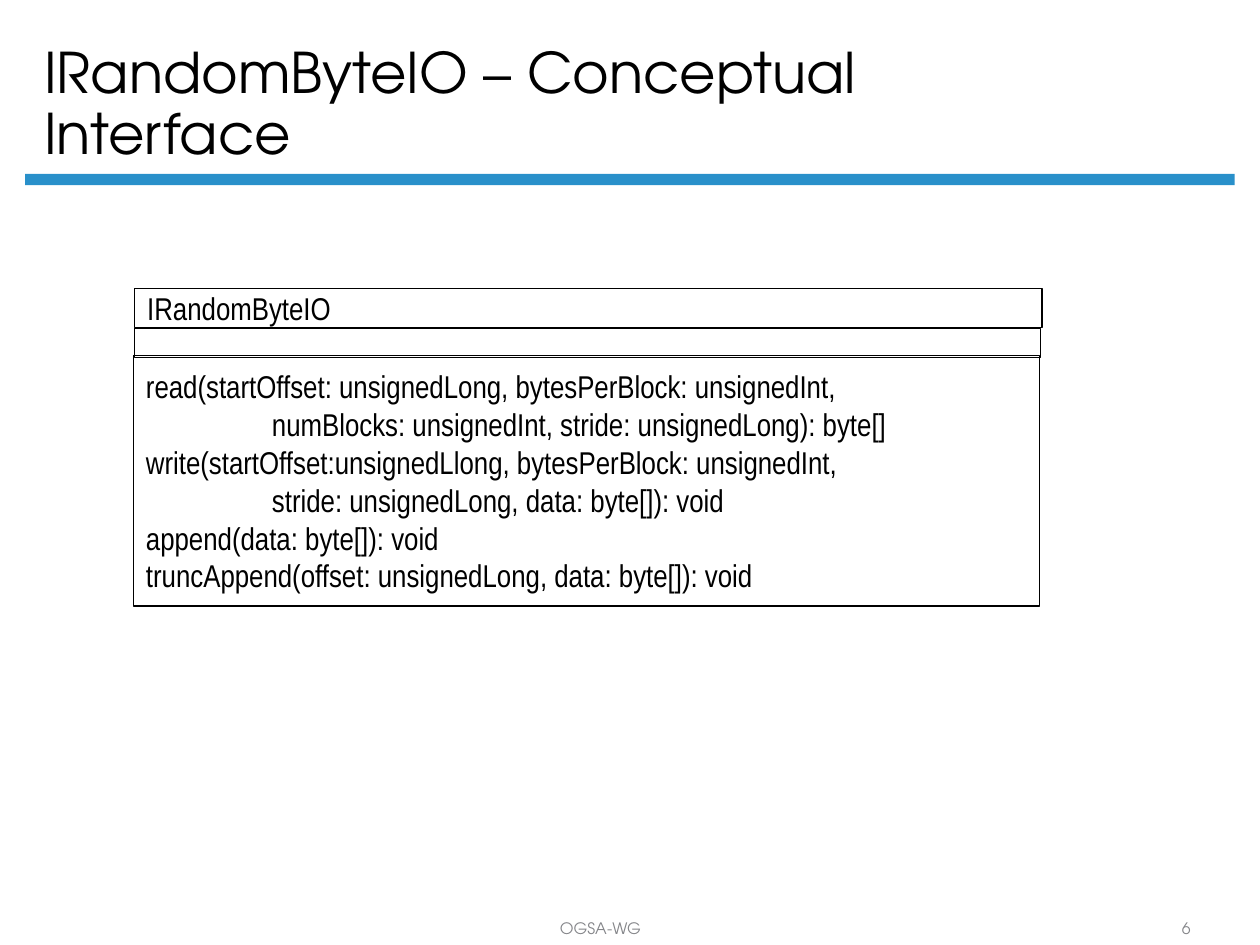
"""Build the IRandomByteIO conceptual interface slide."""
import pptx
import pptx.util
import pptx.dml.color
import pptx.enum.shapes
import pptx.enum.text
import pptx.oxml.ns
from lxml import etree

Inches = pptx.util.Inches
Pt = pptx.util.Pt
ANCHOR = pptx.enum.text.MSO_ANCHOR
ALIGN = pptx.enum.text.PP_ALIGN


def color(value):
    return pptx.dml.color.RGBColor.from_string(value)


class Deck:
    heading_font = "TeX Gyre Adventor"
    body_font = "Arial Narrow"
    black = "000000"
    blue = "2990CA"
    gray = "848589"

    def __init__(self):
        self.prs = pptx.Presentation()
        self.prs.slide_width = Inches(10)
        self.prs.slide_height = Inches(7.5)
        self.s = self.prs.slides.add_slide(self.prs.slide_layouts[5])

    def set_text(self, tf, lines, font, size, ink, anchor, align=ALIGN.LEFT):
        tf.word_wrap = True
        tf.auto_size = pptx.enum.text.MSO_AUTO_SIZE.NONE
        tf.vertical_anchor = anchor
        for i, line in enumerate(lines):
            p = tf.add_paragraph() if i else tf.paragraphs[0]
            r = p.add_run()
            r.text = line
            p.alignment = align
            if line.startswith("\t"):
                self.tab_stop(p, Inches(1))
            p.font.name = font
            p.font.size = Pt(size)
            p.font.color.rgb = color(ink)

    def tab_stop(self, p, pos):
        qn = pptx.oxml.ns.qn
        tabs = etree.SubElement(p._p.get_or_add_pPr(), qn("a:tabLst"))
        etree.SubElement(tabs, qn("a:tab"), pos=str(pos), algn="l")

    def title(self, x, y, w, h, text):
        sp = self.s.shapes.title
        sp.left, sp.top, sp.width, sp.height = map(Inches, (x, y, w, h))
        self.set_text(sp.text_frame, [text], self.heading_font, 32, self.black, ANCHOR.BOTTOM)
        sp.text_frame.paragraphs[0].line_spacing = 0.9

    def rect(self, x, y, w, h):
        sp = self.s.shapes.add_shape(
            pptx.enum.shapes.MSO_SHAPE.RECTANGLE, *map(Inches, (x, y, w, h)))
        sp.shadow.inherit = False
        return sp

    def rule(self, x, y, w, h):
        sp = self.rect(x, y, w, h)
        sp.fill.solid()
        sp.fill.fore_color.rgb = color(self.blue)
        sp.line.fill.background()

    def compartment(self, x, y, w, h, lines=()):
        sp = self.rect(x, y, w, h)
        sp.fill.background()
        sp.line.color.rgb = color(self.black)
        sp.line.width = Pt(0.75)
        self.set_text(sp.text_frame, lines, self.body_font, 18, self.black, ANCHOR.MIDDLE)

    def footer(self, x, w, text):
        sp = self.s.shapes.add_textbox(*map(Inches, (x, 7.25, w, 0.24)))
        self.set_text(sp.text_frame, [text], self.heading_font, 9, self.gray,
                      ANCHOR.BOTTOM, ALIGN.CENTER)


def main():
    deck = Deck()
    deck.rule(0.2, 1.38, 9.6, 0.09)
    deck.title(0.25, 0.12, 8.56, 1.25, "IRandomByteIO – Conceptual Interface")
    deck.compartment(1.07, 2.29, 7.2, 0.31, ["IRandomByteIO"])
    deck.compartment(1.07, 2.61, 7.19, 0.23)
    deck.compartment(1.06, 2.82, 7.19, 1.99, [
        "read(startOffset: unsignedLong, bytesPerBlock: unsignedInt,",
        "\tnumBlocks: unsignedInt, stride: unsignedLong): byte[]",
        "write(startOffset:unsignedLlong, bytesPerBlock: unsignedInt,",
        "\tstride: unsignedLong, data: byte[]): void",
        "append(data: byte[]): void",
        "truncAppend(offset: unsignedLong, data: byte[]): void",
    ])
    deck.footer(2.33, 4.87, "OGSA-WG")
    deck.footer(9, 0.83, "6")
    deck.prs.save("out.pptx")


if __name__ == "__main__":
    main()
